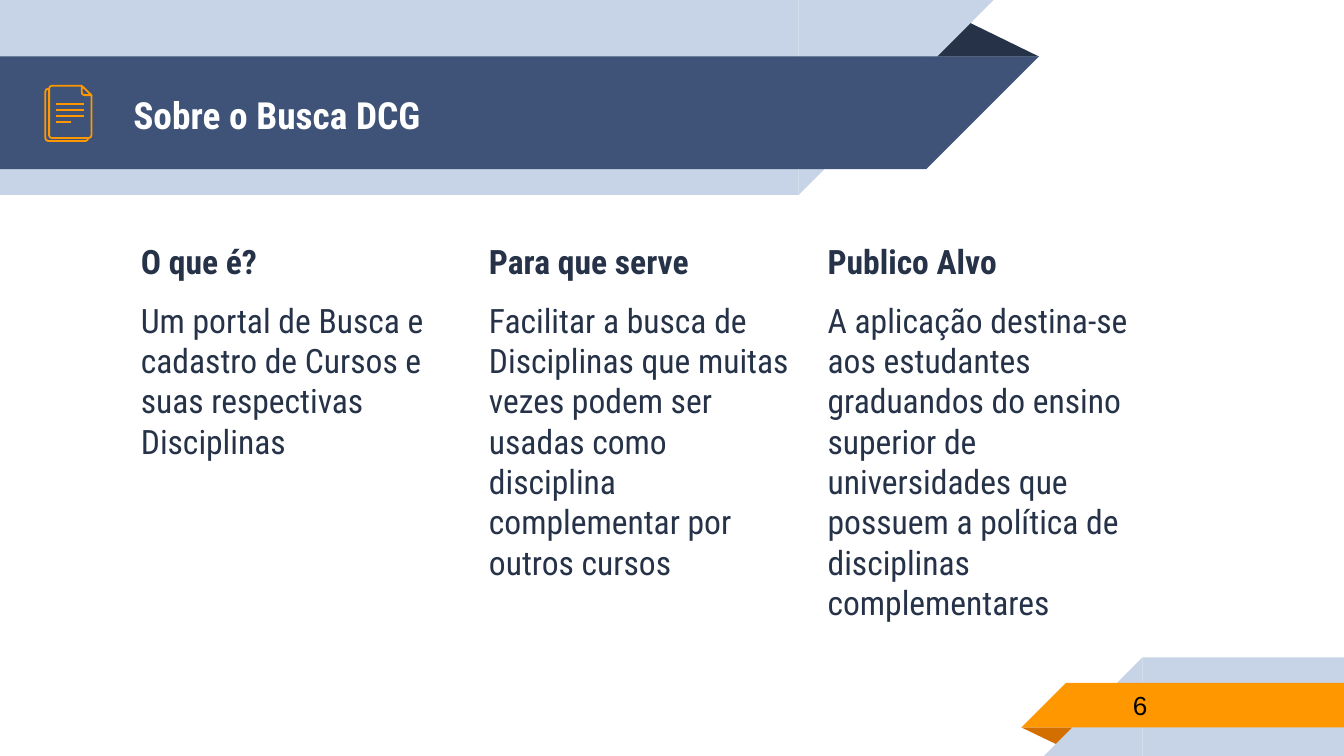
import pptx
import pptx.util
import pptx.dml.color
import pptx.enum.shapes
import pptx.enum.text
import pptx.oxml

Pt = pptx.util.Pt
SHAPE = pptx.enum.shapes.MSO_SHAPE
ANCHOR = pptx.enum.text.MSO_ANCHOR
FONT = "Roboto Condensed"
NAVY, BLUE, PALE = "263248", "3F5378", "C7D3E6"
ORANGE, RUST = "FF9800", "D26F00"

COLUMNS = [
    (68.4, "O que é?",
     "Um portal de Busca e cadastro de Cursos e suas respectivas Disciplinas"),
    (254.9, "Para que serve",
     "Facilitar a busca de Disciplinas que muitas vezes podem ser usadas como "
     "disciplina complementar por outros cursos"),
    (436.3, "Publico Alvo",
     "A aplicação destina-se aos estudantes graduandos do ensino superior de "
     "universidades que possuem a política de disciplinas complementares"),
]


def rgb(color):
    """Turn a hex string into a colour."""
    return pptx.dml.color.RGBColor.from_string(color)


def add_block(slide, kind, box, color, rotation=0):
    """Add a flat filled shape without outline."""
    sp = slide.shapes.add_shape(kind, *map(Pt, box))
    sp.shadow.inherit = False
    sp.fill.solid()
    sp.fill.fore_color.rgb = rgb(color)
    sp.line.fill.background()
    sp.rotation = rotation
    return sp


def add_fold(slide, box, color, rotation=0):
    """Add the dark triangle where a ribbon folds back."""
    sp = add_block(slide, SHAPE.ISOSCELES_TRIANGLE, box, color, rotation)
    sp.adjustments[0] = 0.324


def add_ribbon(slide, box, color, tip_right):
    """Add a band that ends in a 45 degree tip outside its box."""
    x, y, w, h = box
    add_block(slide, SHAPE.RECTANGLE, box, color)
    tip_x, rotation = (x + w, 90) if tip_right else (x - h, 270)
    add_block(slide, SHAPE.RIGHT_TRIANGLE, (tip_x, y, h, h), color, rotation)


def set_text(sp, paragraphs, size, color, font=FONT, anchor=ANCHOR.TOP, after=0):
    """Fill a shape with (text, bold) paragraphs."""
    tf = sp.text_frame
    tf.word_wrap = True
    tf.auto_size = pptx.enum.text.MSO_AUTO_SIZE.NONE
    tf.vertical_anchor = anchor
    tf.margin_left = tf.margin_right = tf.margin_top = tf.margin_bottom = Pt(7.2)
    for i, (text, bold) in enumerate(paragraphs):
        p = tf.add_paragraph() if i else tf.paragraphs[0]
        p.text = text
        p.alignment = pptx.enum.text.PP_ALIGN.LEFT
        p.space_before, p.space_after = Pt(0), Pt(after)
        p.font.name, p.font.size, p.font.bold = font, Pt(size), bold
        p.font.color.rgb = rgb(color)


def set_stroke(sp):
    """Give an icon part its thin orange line."""
    sp.line.color.rgb = rgb(ORANGE)
    sp.line.width = Pt(0.96)


def add_outline(slide, x, y, points, close=False):
    """Add an unfilled icon outline through points relative to x, y."""
    (x0, y0), *rest = [(Pt(x + dx), Pt(y + dy)) for dx, dy in points]
    builder = slide.shapes.build_freeform(x0, y0)
    builder.add_line_segments(rest, close=close)
    sp = builder.convert_to_shape()
    sp.shadow.inherit = False
    sp.fill.background()
    set_stroke(sp)


def add_document_icon(slide, x, y):
    """Draw the stacked pages icon with its top left corner at x, y."""
    add_outline(slide, x, y, [
        (23, 28), (22.6, 29), (21.5, 29.6), (1.5, 29.6), (0.4, 29),
        (0, 28), (0, 3), (0.4, 2), (1.5, 1.5)])
    add_outline(slide, x, y, [
        (24.7, 5), (24.7, 26.5), (24.3, 27.5), (23.2, 28), (3.5, 28),
        (2.4, 27.5), (2, 26.5), (2, 1.5), (2.4, 0.4), (3.5, 0), (19.5, 0)])
    for i, width in enumerate((15.2, 15.2, 15.2, 8)):
        line_y = y + 9.8 + 3.2 * i
        line = slide.shapes.add_connector(
            pptx.enum.shapes.MSO_CONNECTOR.STRAIGHT,
            Pt(x + 5.7), Pt(line_y), Pt(x + 5.7 + width), Pt(line_y))
        set_stroke(line)
        line._element.spPr.append(pptx.oxml.parse_xml(
            '<a:effectLst xmlns:a="http://schemas.openxmlformats.org/drawingml/2006/main"/>'))
    add_outline(slide, x, y, [
        (19.5, 0), (24.7, 5), (21, 5), (19.9, 4.6), (19.5, 3.5)], close=True)


def add_header(slide, x, y):
    """Place the title ribbon, title and icon from the corner x, y."""
    add_fold(slide, (x + 495.4, y + 10.1, 61.2, 20.2), NAVY)
    add_ribbon(slide, (x, y, 427.9, 104.4), PALE, True)
    add_ribbon(slide, (x, y + 30.2, 496.2, 60.5), BLUE, True)
    title = slide.shapes.title
    slide.shapes._spTree.append(title._element)
    title.left, title.top, title.width, title.height = map(
        Pt, (x + 64.2, y + 31, 414, 60.5))
    set_text(title, [("Sobre o Busca DCG", True)], 20, "FFFFFF", anchor=ANCHOR.MIDDLE)
    add_document_icon(slide, x + 24.3, y + 46)


def add_column(slide, box, heading, body):
    """Place a heading with its paragraph in the box."""
    sp = slide.shapes.add_textbox(*map(Pt, box))
    set_text(sp, [(heading, True), (body, False)], 18, NAVY, after=10)


def add_footer(slide, right, bottom, number):
    """Place the page number ribbon against the corner right, bottom."""
    add_fold(slide, (right - 172.8, bottom - 15.3, 31, 10.1), RUST, 180)
    add_ribbon(slide, (right - 108, bottom - 52.8, 108, 52.8), PALE, False)
    add_ribbon(slide, (right - 149, bottom - 39.1, 149, 23.8), ORANGE, False)
    sp = slide.shapes.add_textbox(
        *map(Pt, (right - 120.2, bottom - 39.8, 117.4, 25.2)))
    set_text(sp, [(number, False)], 14, "000000", "Arial", ANCHOR.MIDDLE)


def main():
    """Build and save the slide."""
    prs = pptx.Presentation()
    prs.slide_width, prs.slide_height = Pt(720), Pt(405)
    slide = prs.slides.add_slide(prs.slide_layouts[5])
    add_header(slide, 0, 0)
    for x, heading, body in COLUMNS:
        add_column(slide, (x, 121.7, 177.1, 213.1), heading, body)
    add_footer(slide, 720, 405, "6")
    prs.save("out.pptx")


if __name__ == "__main__":
    main()
